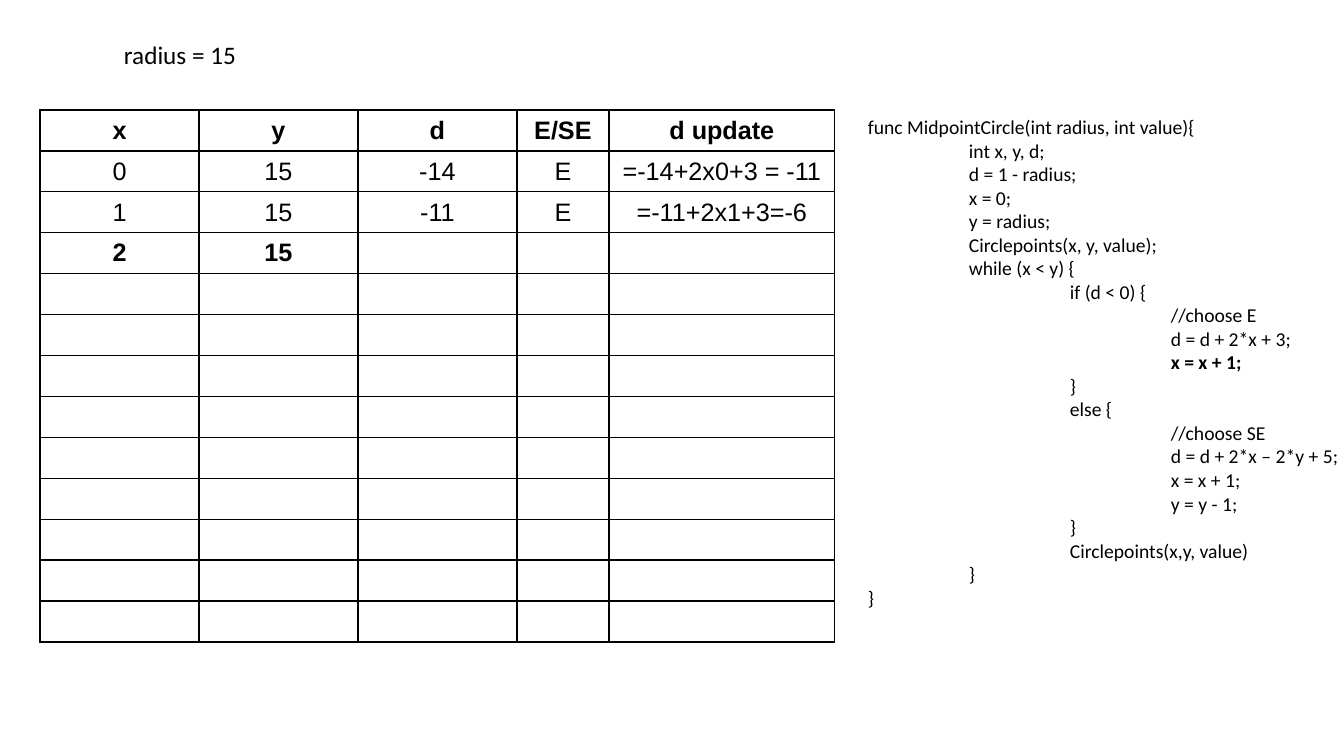
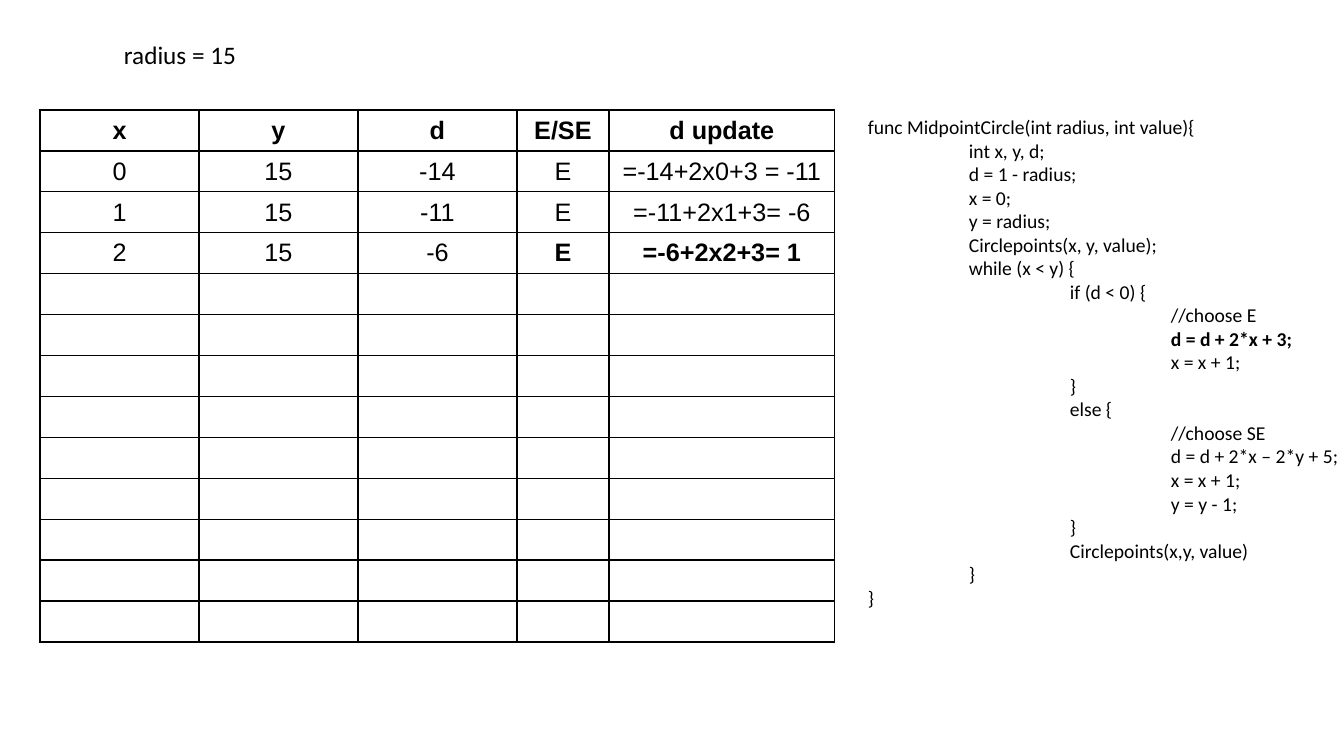
from lxml.etree import SubElement
from pptx import Presentation
from pptx.dml.color import RGBColor
from pptx.enum.text import MSO_ANCHOR, MSO_AUTO_SIZE, PP_ALIGN
from pptx.oxml.ns import qn
from pptx.util import Emu, Pt

BLACK = RGBColor(0x00, 0x00, 0x00)
BODY_FONT = "Calibri"
TABLE_FONT = "Arial"
PX_PER_INCH = 100.8

# Regions as left, top, width, height in px
SLIDE_SIZE = (1344, 756)
RADIUS_BOX = (114, 34, 134, 40)
TABLE_BOX = (40, 110, 795, 532)
CODE_BOX = (858, 110, 516, 532)

TAB_STEP = 101
COLUMN_WIDTHS = (159, 159, 159, 92, 226)
ROW_COUNT = 13
HEADERS = ("x", "y", "d", "E/SE", "d update")
FIRST_STEP = ("0", "15", "-14", "E", "=-14+2x0+3 = -11")

# Tab depth and wording of each line of the algorithm
CODE_LINES = (
    (0, "func MidpointCircle(int radius, int value){"),
    (1, "int x, y, d;"),
    (1, "d = 1 - radius;"),
    (1, "x = 0;"),
    (1, "y = radius;"),
    (1, "Circlepoints(x, y, value);"),
    (1, "while (x < y) {"),
    (2, "if (d < 0) {"),
    (3, "//choose E"),
    (3, "d = d + 2*x + 3;"),
    (3, "x = x + 1;"),
    (2, "}"),
    (2, "else {"),
    (3, "//choose SE"),
    (3, "d = d + 2*x – 2*y + 5;"),
    (3, "x = x + 1;"),
    (3, "y = y - 1;"),
    (2, "}"),
    (2, "Circlepoints(x,y, value)"),
    (1, "}"),
    (0, "}"),
)
UPDATE_D_LINE = 9
ADVANCE_X_LINE = 10

# Each step: rows after the first, cells in bold (row, column), code line in bold
STEPS = (
    (
        (("1", "15", "-11", "E", "=-11+2x1+3=-6"), ("2", "15")),
        {(3, 0), (3, 1)},
        ADVANCE_X_LINE,
    ),
    (
        (("1", "15", "-11", "E", "=-11+2x1+3= -6"),
         ("2", "15", "-6", "E", "=-6+2x2+3= 1")),
        {(3, 3), (3, 4)},
        UPDATE_D_LINE,
    ),
)


def px(length):
    return Emu(round(length * 914400 / PX_PER_INCH))


def write_line(paragraph, text, font=BODY_FONT, size=18, bold=False,
               color=BLACK, align=PP_ALIGN.LEFT):
    paragraph.alignment = align
    run = paragraph.add_run()
    run.text = text
    run.font.name = font
    run.font.size = Pt(size)
    run.font.bold = bold
    run.font.color.rgb = color


def add_text_frame(slide, box, wrap=True):
    shape = slide.shapes.add_textbox(*map(px, box))
    frame = shape.text_frame
    frame.word_wrap = wrap
    frame.auto_size = MSO_AUTO_SIZE.SHAPE_TO_FIT_TEXT
    return frame


def add_radius_label(slide, box):
    frame = add_text_frame(slide, box, wrap=False)
    write_line(frame.paragraphs[0], "radius = 15")


def set_tab_stops(paragraph, count):
    stops = SubElement(paragraph._p.get_or_add_pPr(), qn("a:tabLst"))
    for number in range(1, count + 1):
        SubElement(stops, qn("a:tab"), pos=str(px(number * TAB_STEP)), algn="l")


def add_code(slide, box, bold_line):
    frame = add_text_frame(slide, box)
    for index, (depth, text) in enumerate(CODE_LINES):
        paragraph = frame.add_paragraph() if index else frame.paragraphs[0]
        if depth:
            set_tab_stops(paragraph, depth)
        write_line(paragraph, "\t" * depth + text, size=14,
                   bold=index == bold_line)


def outline_cell(cell):
    properties = cell._tc.get_or_add_tcPr()
    for side in ("a:lnL", "a:lnR", "a:lnT", "a:lnB"):
        line = SubElement(properties, qn(side), w=str(Pt(1)))
        fill = SubElement(line, qn("a:solidFill"))
        SubElement(fill, qn("a:srgbClr"), val=str(BLACK))
    cell.fill.background()


def add_step_table(slide, box, rows, bold_cells):
    table = slide.shapes.add_table(
        ROW_COUNT, len(COLUMN_WIDTHS), *map(px, box)).table
    table.first_row = False
    table.horz_banding = False
    for column, width in zip(table.columns, COLUMN_WIDTHS):
        column.width = px(width)
    for cell in table.iter_cells():
        cell.vertical_anchor = MSO_ANCHOR.MIDDLE
        outline_cell(cell)
    for row, texts in enumerate(rows):
        for column, text in enumerate(texts):
            paragraph = table.cell(row, column).text_frame.paragraphs[0]
            write_line(paragraph, text, font=TABLE_FONT, align=PP_ALIGN.CENTER,
                       bold=row == 0 or (row, column) in bold_cells)


def add_step_slide(presentation, later_rows, bold_cells, bold_line):
    slide = presentation.slides.add_slide(presentation.slide_layouts[6])
    add_code(slide, CODE_BOX, bold_line)
    add_step_table(slide, TABLE_BOX, (HEADERS, FIRST_STEP, *later_rows),
                   bold_cells)
    add_radius_label(slide, RADIUS_BOX)


def main():
    presentation = Presentation()
    presentation.slide_width, presentation.slide_height = map(px, SLIDE_SIZE)
    for step in STEPS:
        add_step_slide(presentation, *step)
    presentation.save("out.pptx")


if __name__ == "__main__":
    main()
